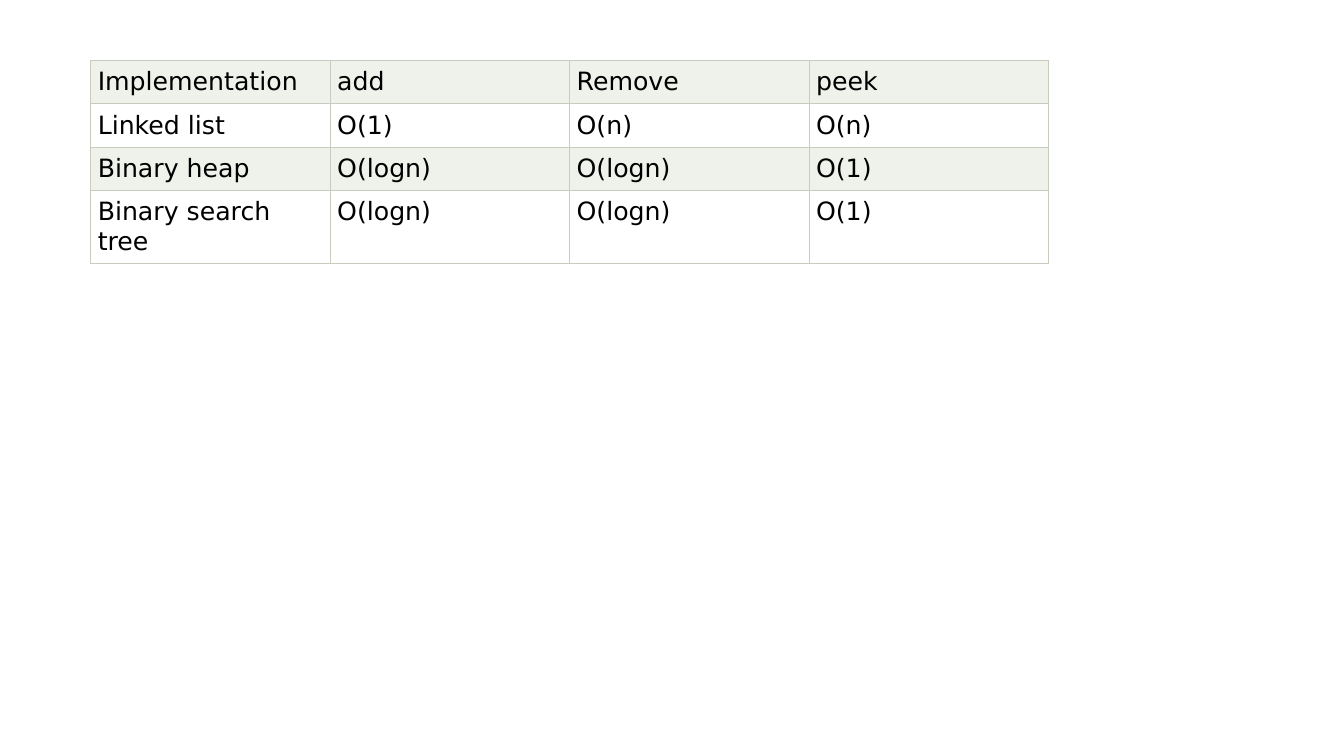
from lxml.etree import SubElement
from pptx import Presentation
from pptx.dml.color import RGBColor
from pptx.oxml.ns import qn
from pptx.util import Inches, Pt

FONT = "DejaVu Sans"
BAND_FILLS = ("EFF1EB", "FFFFFF")
BORDER = "C7CCBE"
INSET = 0.07
ROW_HEIGHTS = (0.43, 0.43, 0.43, 0.72)

COMPLEXITIES = (
    ("Implementation", "add", "Remove", "peek"),
    ("Linked list", "O(1)", "O(n)", "O(n)"),
    ("Binary heap", "O(logn)", "O(logn)", "O(1)"),
    ("Binary search tree", "O(logn)", "O(logn)", "O(1)"),
)


def color(value):
    return RGBColor.from_string(value)


def write_text(frame, text, size=18, font=FONT, text_color="000000"):
    span = frame.paragraphs[0].add_run()
    span.text = text
    span.font.name = font
    span.font.size = Pt(size)
    span.font.bold = False
    span.font.color.rgb = color(text_color)


def add_borders(cell, line_color, width):
    properties = cell._tc.get_or_add_tcPr()
    for side in ("a:lnL", "a:lnR", "a:lnT", "a:lnB"):
        line = SubElement(properties, qn(side), w=str(Pt(width)))
        fill = SubElement(line, qn("a:solidFill"))
        SubElement(fill, qn("a:srgbClr"), val=line_color)


def format_cell(cell, text, fill_color):
    cell.margin_left = cell.margin_right = Inches(INSET)
    cell.margin_top = cell.margin_bottom = Inches(INSET)
    # Borders come before the fill in the cell properties
    add_borders(cell, BORDER, 0.6)
    cell.fill.solid()
    cell.fill.fore_color.rgb = color(fill_color)
    write_text(cell.text_frame, text)


def add_complexity_table(page, left, top, width):
    frame = page.shapes.add_table(
        len(COMPLEXITIES), len(COMPLEXITIES[0]),
        Inches(left), Inches(top), Inches(width), Inches(sum(ROW_HEIGHTS)))
    table = frame.table
    for row, height in zip(table.rows, ROW_HEIGHTS):
        row.height = Inches(height)

    # Alternating row bands, starting with the header
    for row_index, texts in enumerate(COMPLEXITIES):
        fill_color = BAND_FILLS[row_index % 2]
        for column_index, text in enumerate(texts):
            format_cell(table.cell(row_index, column_index), text, fill_color)


def main():
    deck = Presentation()
    deck.slide_width = Inches(13.33)
    deck.slide_height = Inches(7.5)
    page = deck.slides.add_slide(deck.slide_layouts[6])
    add_complexity_table(page, left=0.9, top=0.6, width=9.5)
    deck.save("out.pptx")


if __name__ == "__main__":
    main()
